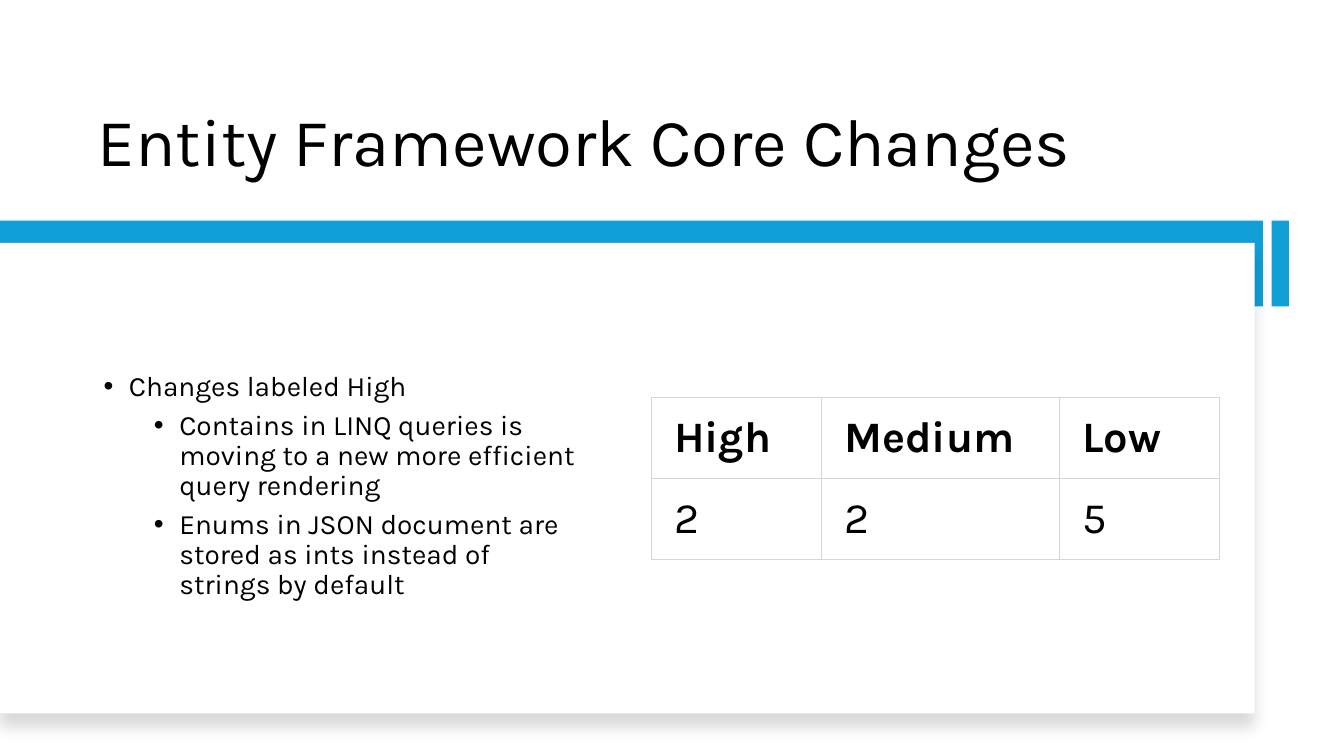
import pptx
import pptx.dml.color
import pptx.enum.shapes
import pptx.enum.text
import pptx.oxml
import pptx.oxml.ns
import pptx.util
from lxml import etree

Cm = pptx.util.Cm
Pt = pptx.util.Pt
MIDDLE = pptx.enum.text.MSO_ANCHOR.MIDDLE
BOTTOM = pptx.enum.text.MSO_ANCHOR.BOTTOM
NAMESPACE = pptx.oxml.ns.nsdecls("a")


def color(value):
    return pptx.dml.color.RGBColor.from_string(value)


class Page:
    font = "Karla"
    ink = "000000"
    paper = "FFFFFF"
    accent = "0F9ED5"
    border = "D6D6D6"

    def __init__(self, deck):
        self.shapes = deck.slides.add_slide(deck.slide_layouts[6]).shapes

    def style(self, para, size, bold=False):
        for span in para.runs:
            span.font.name = self.font
            span.font.size = Pt(size)
            span.font.bold = bold
            span.font.color.rgb = color(self.ink)

    def rectangle(self, left, top, width, height, fill):
        kind = pptx.enum.shapes.MSO_SHAPE.RECTANGLE
        shape = self.shapes.add_shape(kind, Cm(left), Cm(top), Cm(width), Cm(height))
        shape.shadow.inherit = False
        shape.fill.solid()
        shape.fill.fore_color.rgb = color(fill)
        shape.line.fill.background()
        return shape

    def soft_shadow(self, shape):
        effects = shape._element.spPr.find(pptx.oxml.ns.qn("a:effectLst"))
        effects.append(pptx.oxml.parse_xml(
            f'<a:outerShdw {NAMESPACE} blurRad="{Pt(11)}" dist="{Pt(10)}" dir="5400000" '
            f'algn="t" rotWithShape="0"><a:srgbClr val="{self.ink}">'
            '<a:alpha val="15000"/></a:srgbClr></a:outerShdw>'))

    def text(self, left, top, width, height, lines, size, anchor, bullets=False):
        """Each line is a pair of level and wording."""
        box = self.shapes.add_textbox(Cm(left), Cm(top), Cm(width), Cm(height))
        frame = box.text_frame
        frame.word_wrap = True
        frame.vertical_anchor = anchor
        frame.text = "\n".join(wording for level, wording in lines)
        for para, (level, wording) in zip(frame.paragraphs, lines):
            para.level = level
            if bullets:
                self.bullet(para, 0.79 + 1.27 * level)
                para.space_after = Pt(6)
            para.line_spacing = 0.9
            self.style(para, size)

    def bullet(self, para, indent):
        properties = para._p.get_or_add_pPr()
        properties.set("marL", str(Cm(indent)))
        properties.set("indent", str(Cm(-0.64)))
        for tag, name, value in (("a:buFont", "typeface", "Arial"), ("a:buChar", "char", "•")):
            etree.SubElement(properties, pptx.oxml.ns.qn(tag)).set(name, value)

    def table(self, left, top, widths, row_height, rows, size):
        frame = self.shapes.add_table(
            len(rows), len(widths), Cm(left), Cm(top),
            Cm(sum(widths)), Cm(row_height * len(rows)))
        grid = frame.table
        grid.horz_banding = False
        for column, width in zip(grid.columns, widths):
            column.width = Cm(width)
        for index, values in enumerate(rows):
            grid.rows[index].height = Cm(row_height)
            for cell, value in zip(grid.rows[index].cells, values):
                self.cell(cell, value, size, bold=index == 0)

    def cell(self, cell, value, size, bold):
        cell.text_frame.text = value
        cell.vertical_anchor = MIDDLE
        cell.margin_left = cell.margin_right = Cm(0.58)
        cell.margin_top = cell.margin_bottom = Cm(0.28)
        self.style(cell.text_frame.paragraphs[0], size, bold)
        cell.fill.solid()
        cell.fill.fore_color.rgb = color(self.paper)
        # Borders come before the fill in the cell properties
        properties = cell._tc.get_or_add_tcPr()
        for place, side in enumerate("LRTB"):
            properties.insert(place, pptx.oxml.parse_xml(
                f'<a:ln{side} {NAMESPACE} w="{Pt(0.75)}"><a:solidFill>'
                f'<a:srgbClr val="{self.border}"/></a:solidFill></a:ln{side}>'))


def main():
    deck = pptx.Presentation()
    deck.slide_width = Cm(33.87)
    deck.slide_height = Cm(19.05)
    page = Page(deck)

    # Title
    page.text(2.21, 1.07, 27.97, 3.61, [(0, "Entity Framework Core Changes")], 48, BOTTOM)

    # Accent band, content panel and end bar
    page.rectangle(0, 5.56, 31.83, 2.16, page.accent)
    panel = page.rectangle(0, 6.12, 31.62, 11.86, page.paper)
    page.soft_shadow(panel)
    page.rectangle(32.05, 5.56, 0.43, 2.16, page.accent)

    # Changes list
    changes = [
        (0, "Changes labeled High"),
        (1, "Contains in LINQ queries is moving to a new more efficient query rendering"),
        (1, "Enums in JSON document are stored as ints instead of strings by default"),
    ]
    page.text(2.21, 7.21, 12.6, 10.11, changes, 20, MIDDLE, bullets=True)

    # Count of changes by impact
    counts = [("High", "Medium", "Low"), ("2", "2", "5")]
    page.table(16.41, 10.01, (4.29, 5.99, 4.04), 2.05, counts, 31)

    deck.save("out.pptx")


if __name__ == "__main__":
    main()
